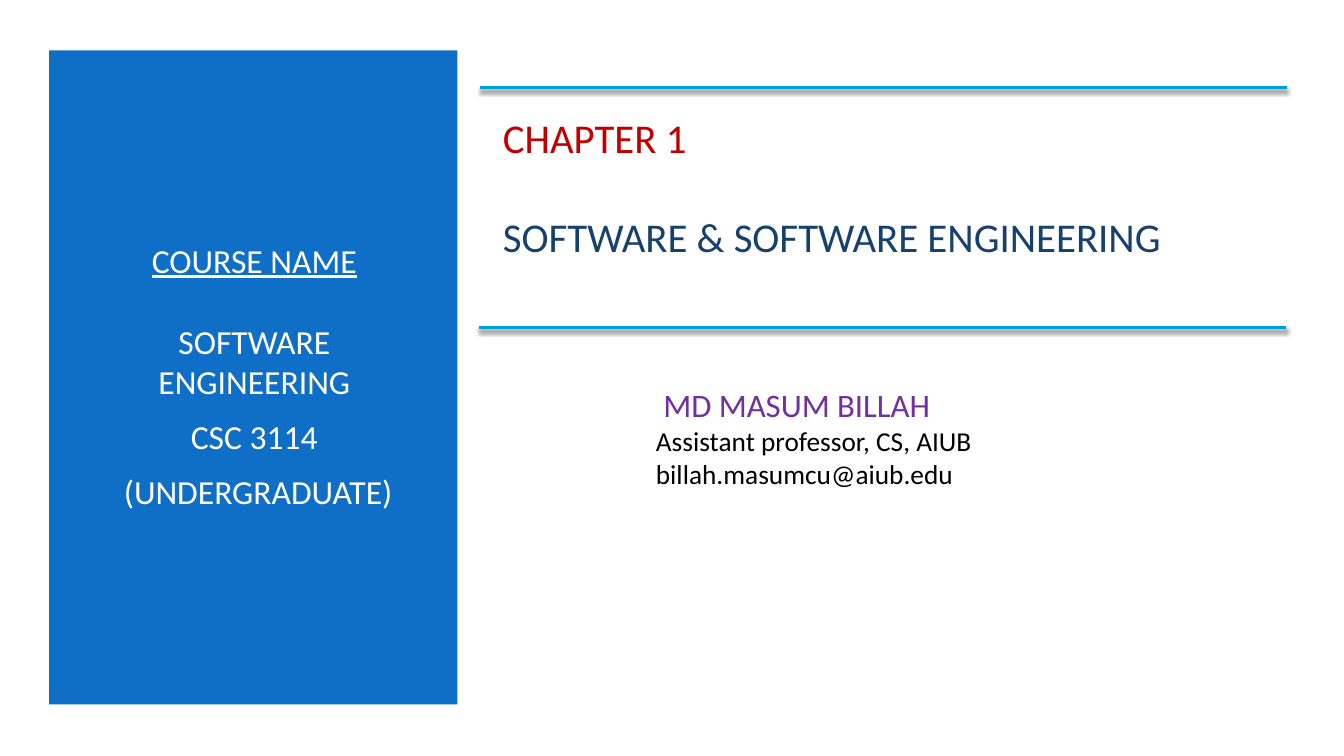
from lxml.etree import SubElement
from pptx import Presentation
from pptx.dml.color import RGBColor
from pptx.enum.shapes import MSO_CONNECTOR as Connector, MSO_SHAPE as Shape
from pptx.enum.text import MSO_ANCHOR as Anchor, MSO_AUTO_SIZE as AutoSize, PP_ALIGN as Align
from pptx.oxml.ns import qn
from pptx.util import Cm, Pt


def color(hex_value):
    return RGBColor.from_string(hex_value)


def write(paragraph, text, size, fill, font="Calibri", align=Align.LEFT,
          underline=False, before=0):
    """Put one formatted run into a paragraph."""
    paragraph.alignment = align
    paragraph.space_before = Pt(before)
    paragraph.space_after = Pt(0)
    run = paragraph.add_run()
    run.text = text
    run.font.name = font
    run.font.size = Pt(size)
    run.font.underline = underline
    run.font.color.rgb = color(fill)


class ChapterSlide:
    WHITE, PANEL, RULE = "FFFFFF", "0F6FC6", "009DD9"
    RED, NAVY, PURPLE, BLACK = "C00000", "17406D", "7030A0", "000000"

    def __init__(self, presentation):
        self.slide = presentation.slides.add_slide(presentation.slide_layouts[5])
        background = self.slide.background.fill
        background.solid()
        background.fore_color.rgb = color(self.WHITE)

    def panel(self, left, top, width, height):
        shape = self.slide.shapes.add_shape(
            Shape.RECTANGLE, Cm(left), Cm(top), Cm(width), Cm(height))
        shape.shadow.inherit = False
        shape.fill.solid()
        shape.fill.fore_color.rgb = color(self.PANEL)
        shape.line.fill.background()

    def rule(self, left, top, width):
        line = self.slide.shapes.add_connector(
            Connector.STRAIGHT, Cm(left), Cm(top), Cm(left + width), Cm(top))
        line.line.color.rgb = color(self.RULE)
        line.line.width = Pt(2)
        properties = line.line._get_or_add_ln().getparent()
        effects = SubElement(properties, qn("a:effectLst"))
        shadow = SubElement(effects, qn("a:outerShdw"), blurRad=str(Pt(3)),
                            dist=str(Pt(2)), dir="5400000", rotWithShape="0")
        shade = SubElement(shadow, qn("a:srgbClr"), val=self.BLACK)
        SubElement(shade, qn("a:alpha"), val="55000")

    def fill_text(self, shape, left, top, width, height, lines):
        shape.left, shape.top = Cm(left), Cm(top)
        shape.width, shape.height = Cm(width), Cm(height)
        frame = shape.text_frame
        frame.word_wrap = True
        frame.auto_size = AutoSize.NONE
        frame.vertical_anchor = Anchor.MIDDLE
        for index, (text, style) in enumerate(lines):
            paragraph = frame.add_paragraph() if index else frame.paragraphs[0]
            write(paragraph, text, **style)

    def title(self, *box, lines):
        self.fill_text(self.slide.shapes.title, *box, lines)

    def text(self, *box, lines):
        shape = self.slide.shapes.add_textbox(0, 0, 0, 0)
        self.fill_text(shape, *box, lines)


def main():
    presentation = Presentation()
    presentation.slide_width, presentation.slide_height = Cm(33.87), Cm(19.05)
    page = ChapterSlide(presentation)

    # Course panel
    page.panel(1.24, 1.27, 10.29, 16.48)
    course = dict(size=24, fill=page.WHITE, align=Align.CENTER)
    page.text(2.13, 2.79, 8.56, 13.34, lines=[
        ("COURSE NAME", dict(course, underline=True, before=5)),
        ("SOFTWARE ENGINEERING", dict(course, before=29)),
        ("CSC 3114", dict(course, before=10.5)),
        (" (UNDERGRADUATE)", dict(course, before=10.5)),
    ])

    # Chapter title between two rules
    page.title(12.42, 2.79, 19.94, 3.84, lines=[
        ("CHAPTER 1", dict(size=29.2, fill=page.RED)),
        ("SOFTWARE & SOFTWARE ENGINEERING",
         dict(size=29.2, fill=page.NAVY, before=35.6)),
    ])
    for left, top in ((12.09, 2.21), (12.07, 8.26)):
        page.rule(left, top, 20.35)

    # Lecturer
    detail = dict(size=19.5, fill=page.BLACK)
    page.text(16.28, 9.04, 16.92, 3.96, lines=[
        (" MD MASUM BILLAH", dict(size=23.4, fill=page.PURPLE)),
        ("Assistant professor, CS, AIUB", detail),
        ("billah.masumcu@aiub.edu", detail),
    ])

    presentation.save("out.pptx")


if __name__ == "__main__":
    main()
